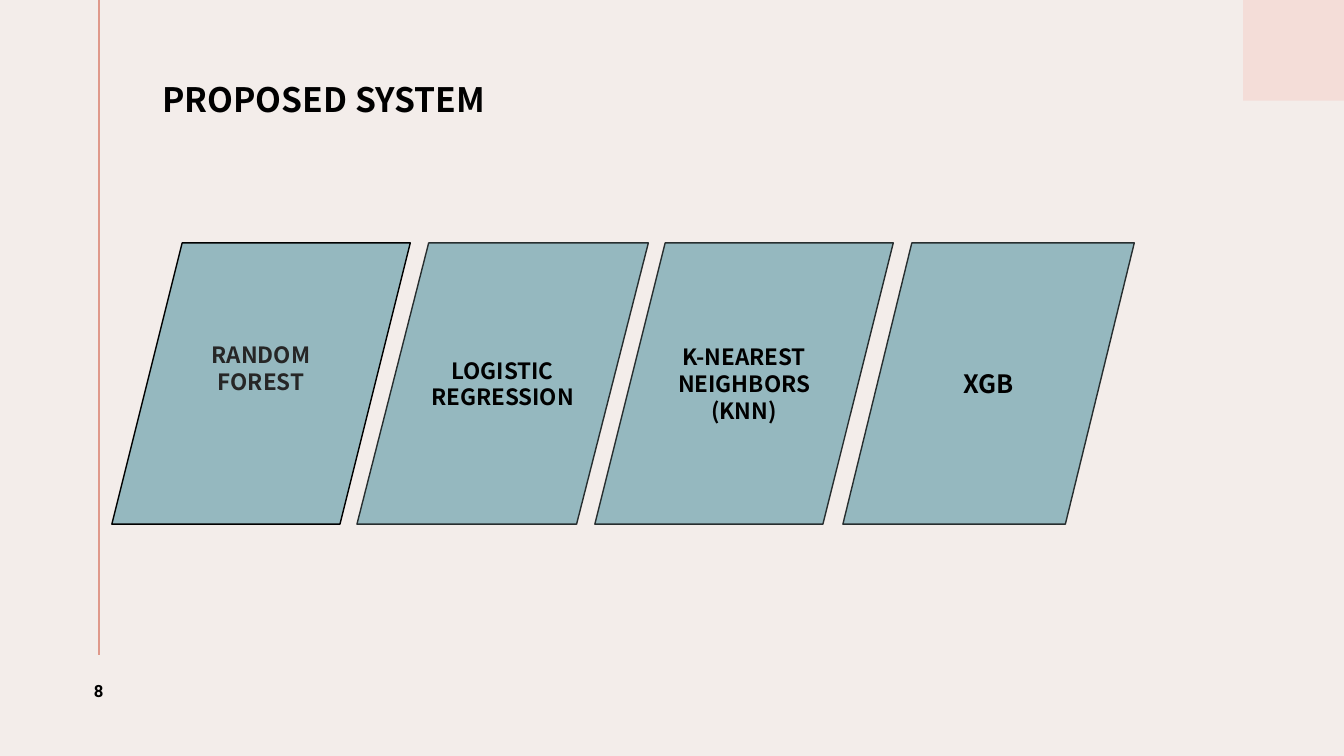
from pptx import Presentation
from pptx import util as u
from pptx.dml.color import RGBColor
from pptx.enum import shapes, text
from pptx.oxml.ns import qn
from lxml import etree

BACKGROUND = RGBColor(0xF3, 0xED, 0xEA)
PINK = RGBColor(0xF4, 0xDD, 0xD8)
ROSE = RGBColor(0xDF, 0x99, 0x8B)
TEAL = RGBColor(0x95, 0xB8, 0xBF)
BLACK = RGBColor(0, 0, 0)
CHARCOAL = RGBColor(0x26, 0x26, 0x26)
SLATE = RGBColor(0x27, 0x2E, 0x2F)
HEADING_FONT = "Noto Sans CJK SC"
NUMBER_FONT = "Roboto"

MODELS = [
    ("RANDOM FOREST", 0, 2.96, 0.25, 16, CHARCOAL, BLACK, 0.35),
    ("LOGISTIC REGRESSION", 2.43, 2.89, 0.255, 16, BLACK, SLATE, 0.05),
    ("K-NEAREST NEIGHBORS (KNN)", 4.79, 2.96, 0.25, 16, BLACK, SLATE, 0.05),
    ("XGB", 7.25, 2.89, 0.245, 18, BLACK, SLATE, 0.05),
]


def write(sp, words, size, color, align, font=HEADING_FONT):
    tf = sp.text_frame
    tf.word_wrap = True
    tf.vertical_anchor = text.MSO_ANCHOR.MIDDLE
    p = tf.paragraphs[0]
    p.alignment = align
    r = p.add_run()
    r.text = words
    r.font.name = font
    r.font.size = u.Pt(size)
    r.font.bold = True
    r.font.color.rgb = color
    return r


def add_text(s, box, words, size, align, font=HEADING_FONT):
    sp = s.shapes.add_textbox(*map(u.Inches, box))
    return sp, write(sp, words, size, BLACK, align, font)


def add_decor(s, width):
    sp = s.shapes.add_shape(shapes.MSO_SHAPE.RECTANGLE, u.Inches(width - 1), 0,
                            u.Inches(1), u.Inches(1))
    sp.shadow.inherit = False
    sp.fill.solid()
    sp.fill.fore_color.rgb = PINK
    sp.line.fill.background()
    x = u.Inches(0.98)
    line = s.shapes.add_connector(shapes.MSO_CONNECTOR.STRAIGHT, x, 0, x, u.Inches(6.5))
    line.line.color.rgb = ROSE
    line.line.width = u.Pt(1.5)
    etree.SubElement(line._element.spPr, qn("a:effectLst"))


def add_title(s, box):
    sp, r = add_text(s, box, "PROPOSED SYSTEM", 24, text.PP_ALIGN.LEFT)
    tf = sp.text_frame
    tf.margin_left = 0
    tf.margin_bottom = u.Inches(0.69)
    tf.paragraphs[0].line_spacing = 0.9


def add_number(s, box):
    sp, r = add_text(s, box, "8", 12, text.PP_ALIGN.CENTER, NUMBER_FONT)
    r._r.get_or_add_rPr().set("spc", "150")


def add_models(s, box):
    left, top, height = box
    for words, offset, width, slant, size, color, outline, bottom in MODELS:
        sp = s.shapes.add_shape(shapes.MSO_SHAPE.PARALLELOGRAM, u.Inches(left + offset),
                                u.Inches(top), u.Inches(width), u.Inches(height))
        sp.adjustments[0] = slant
        sp.shadow.inherit = False
        sp.fill.solid()
        sp.fill.fore_color.rgb = TEAL
        sp.line.color.rgb = outline
        sp.line.width = u.Pt(1)
        write(sp, words, size, color, text.PP_ALIGN.CENTER)
        sp.text_frame.margin_bottom = u.Inches(bottom)


def main():
    prs = Presentation()
    prs.slide_width = u.Inches(13.33)
    prs.slide_height = u.Inches(7.5)
    s = prs.slides.add_slide(prs.slide_layouts[6])
    s.background.fill.solid()
    s.background.fill.fore_color.rgb = BACKGROUND
    add_decor(s, 13.33)
    add_title(s, (1.61, 0.55, 10.73, 1.56))
    add_number(s, (0.45, 6.5, 1.06, 0.71))
    add_models(s, (1.11, 2.41, 2.79))
    prs.save("out.pptx")


if __name__ == "__main__":
    main()
